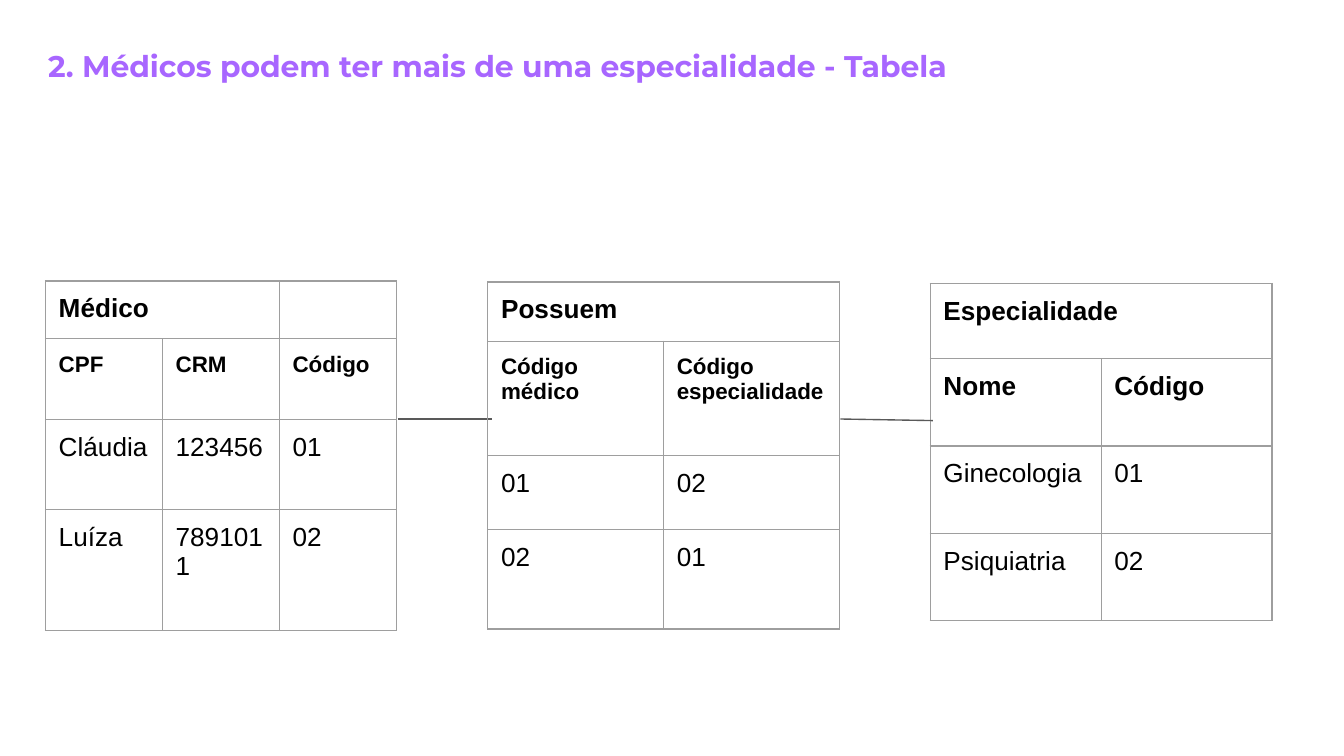
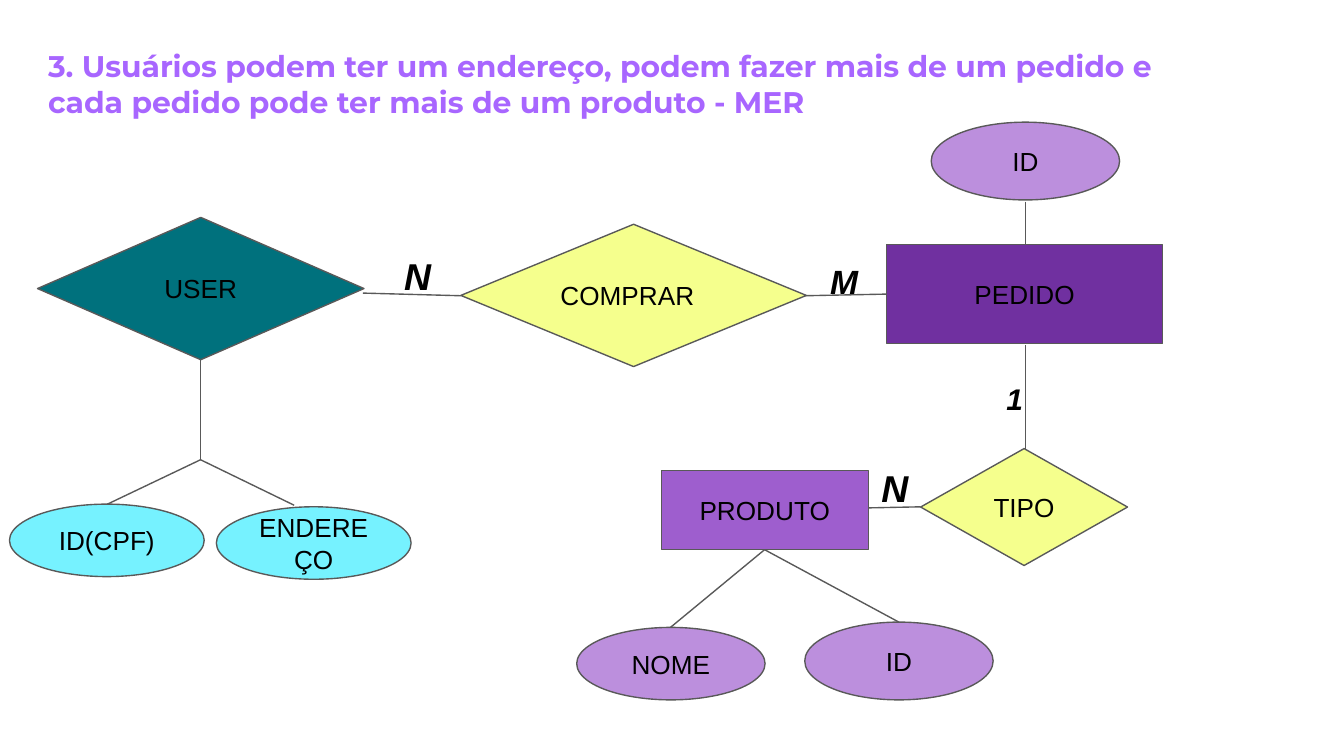
from lxml import etree
from pptx import Presentation
from pptx.dml.color import RGBColor
from pptx.enum import shapes, text
from pptx.oxml import ns
from pptx.util import Cm, Pt

TITLE_PURPLE = RGBColor(0xA8, 0x66, 0xFF)
BLACK = RGBColor(0x00, 0x00, 0x00)
LINE_GRAY = RGBColor(0x59, 0x59, 0x59)
BORDER_GRAY = RGBColor(0x9E, 0x9E, 0x9E)
YELLOW = RGBColor(0xF5, 0xFF, 0x8D)
TEAL = RGBColor(0x00, 0x71, 0x7D)
CYAN = RGBColor(0x76, 0xF2, 0xFF)
LILAC = RGBColor(0xBC, 0x8F, 0xDD)
VIOLET = RGBColor(0x9E, 0x5E, 0xCE)
DEEP_PURPLE = RGBColor(0x70, 0x30, 0xA0)

DIAMOND = shapes.MSO_SHAPE.DIAMOND
RECTANGLE = shapes.MSO_SHAPE.RECTANGLE
ELLIPSE = shapes.MSO_SHAPE.OVAL
CENTER = text.PP_ALIGN.CENTER
LEFT = text.PP_ALIGN.LEFT

LINE_WIDTH = Pt(0.75)
INSET = Cm(0.25)


def style_paragraph(paragraph, size, color=BLACK, name="Arial", bold=False, italic=False):
    font = paragraph.font
    font.name = name
    font.size = Pt(size)
    font.color.rgb = color
    font.bold = bold
    font.italic = italic


def set_insets(target, horizontal=INSET, vertical=INSET):
    target.margin_left = target.margin_right = horizontal
    target.margin_top = target.margin_bottom = vertical


def add_text(slide, words, box, size, vertical_inset=INSET, **style):
    frame = slide.shapes.add_textbox(*map(Cm, box)).text_frame
    frame.word_wrap = True
    frame.auto_size = text.MSO_AUTO_SIZE.SHAPE_TO_FIT_TEXT
    set_insets(frame, vertical=vertical_inset)
    frame.text = words
    style_paragraph(frame.paragraphs[0], size, bold=True, **style)


def add_title_slide(presentation, title, height):
    slide = presentation.slides.add_slide(presentation.slide_layouts[6])
    add_text(slide, title, (0.66, 0.66, 21.95, height), 16,
             color=TITLE_PURPLE, name="Montserrat")
    return slide


def add_cardinality(slide, words, box, size):
    add_text(slide, words, box, size, vertical_inset=Cm(0.13), italic=True)


def add_node(slide, kind, words, box, fill, alignment=CENTER):
    shape = slide.shapes.add_shape(kind, *map(Cm, box))
    shape.shadow.inherit = False
    shape.fill.solid()
    shape.fill.fore_color.rgb = fill
    shape.line.color.rgb = LINE_GRAY
    shape.line.width = LINE_WIDTH
    frame = shape.text_frame
    frame.word_wrap = True
    frame.vertical_anchor = text.MSO_ANCHOR.MIDDLE
    set_insets(frame)
    frame.text = words
    frame.paragraphs[0].alignment = alignment
    style_paragraph(frame.paragraphs[0], 14)


def add_line(slide, *ends):
    connector = slide.shapes.add_connector(shapes.MSO_CONNECTOR.STRAIGHT, *map(Cm, ends))
    connector.line.color.rgb = LINE_GRAY
    connector.line.width = LINE_WIDTH
    etree.SubElement(connector._element.spPr, ns.qn("a:effectLst"))


def set_borders(cell):
    properties = cell._tc.get_or_add_tcPr()
    for position, side in enumerate(("a:lnL", "a:lnR", "a:lnT", "a:lnB")):
        border = etree.Element(ns.qn(side), w=str(LINE_WIDTH))
        fill = etree.SubElement(border, ns.qn("a:solidFill"))
        etree.SubElement(fill, ns.qn("a:srgbClr"), val=str(BORDER_GRAY))
        properties.insert(position, border)


def add_entity_table(slide, left, top, column_width, row_heights, rows, header_size):
    columns = len(rows[1])
    frame = slide.shapes.add_table(len(rows), columns, Cm(left), Cm(top),
                                   Cm(column_width * columns), Cm(sum(row_heights)))
    table = frame.table
    table.first_row = table.horz_banding = False
    for column in table.columns:
        column.width = Cm(column_width)
    for row, height in zip(table.rows, row_heights):
        row.height = Cm(height)
    for row_index, row in enumerate(rows):
        for column_index, words in enumerate(row):
            cell = table.cell(row_index, column_index)
            cell.text = words
            cell.fill.background()
            set_insets(cell)
            set_borders(cell)
            style_paragraph(cell.text_frame.paragraphs[0],
                            header_size if row_index == 1 else 14,
                            bold=row_index < 2)
    table.cell(0, 0).merge(table.cell(0, 1))


def build_doctor_tables(presentation):
    slide = add_title_slide(
        presentation, "2. Médicos podem ter mais de uma especialidade - Tabela", 1.19)
    add_entity_table(slide, 0.86, 5.31, 2.21, (1.09, 1.52, 1.7, 2.29), (
        ("Médico", "", ""),
        ("CPF", "CRM", "Código"),
        ("Cláudia", "123456", "01"),
        ("Luíza", "7891011", "02"),
    ), 12)
    add_entity_table(slide, 17.58, 5.36, 3.23, (1.42, 1.65, 1.65, 1.65), (
        ("Especialidade", ""),
        ("Nome", "Código"),
        ("Ginecologia", "01"),
        ("Psiquiatria", "02"),
    ), 14)
    add_line(slide, 7.52, 7.92, 9.3, 7.92)
    add_entity_table(slide, 9.22, 5.33, 3.32, (1.12, 2.16, 1.4, 1.88), (
        ("Possuem", ""),
        ("Código médico", "Código especialidade"),
        ("01", "02"),
        ("02", "01"),
    ), 12)
    add_line(slide, 15.88, 7.92, 17.63, 7.95)


def build_order_diagram(presentation):
    slide = add_title_slide(
        presentation,
        "3. Usuários podem ter um endereço, podem fazer mais de um pedido e "
        "cada pedido pode ter mais de um produto - MER", 1.88)
    for node in (
        (DIAMOND, "TIPO", (17.4, 8.48, 3.91, 2.21), YELLOW),
        (RECTANGLE, "PRODUTO", (12.5, 8.89, 3.91, 1.5), VIOLET),
        (ELLIPSE, "NOME", (10.9, 11.86, 3.56, 1.37), LILAC),
        (ELLIPSE, "ID", (15.21, 11.76, 3.56, 1.47), LILAC),
        (ELLIPSE, "ENDEREÇO", (4.09, 9.58, 3.68, 1.37), CYAN),
        (ELLIPSE, "ID(CPF)", (0.18, 9.53, 3.68, 1.37), CYAN),
        (DIAMOND, "USER", (0.71, 4.11, 6.17, 2.69), TEAL),
        (DIAMOND, "COMPRAR", (8.71, 4.24, 6.53, 2.69), YELLOW, LEFT),
        (RECTANGLE, "PEDIDO", (16.76, 4.62, 5.21, 1.88), DEEP_PURPLE),
        (ELLIPSE, "ID", (17.6, 2.31, 3.56, 1.47), LILAC),
    ):
        add_node(slide, *node)
    for ends in (
        (16.41, 9.6, 17.4, 9.58),
        (2.03, 9.53, 3.79, 8.69),
        (3.79, 8.69, 5.56, 9.55),
        (12.67, 11.86, 14.45, 10.39),
        (14.45, 10.39, 16.99, 11.76),
        (3.79, 6.81, 3.79, 8.69),
        (6.86, 5.54, 8.71, 5.59),
        (19.38, 8.48, 19.38, 6.53),
        (15.21, 5.59, 16.76, 5.56),
        (19.38, 3.81, 19.38, 4.62),
    ):
        add_line(slide, *ends)
    for cardinality in (
        ("N", (7.39, 4.65, 1.83, 1.12), 20),
        ("M", (15.44, 4.8, 1.32, 1.02), 18),
        ("1", (18.77, 7.06, 1.98, 0.94), 16),
        ("N", (16.41, 8.66, 1.83, 1.12), 20),
    ):
        add_cardinality(slide, *cardinality)


def main():
    presentation = Presentation()
    presentation.slide_width = Cm(25.4)
    presentation.slide_height = Cm(14.29)
    build_doctor_tables(presentation)
    build_order_diagram(presentation)
    presentation.save("out.pptx")


if __name__ == "__main__":
    main()
